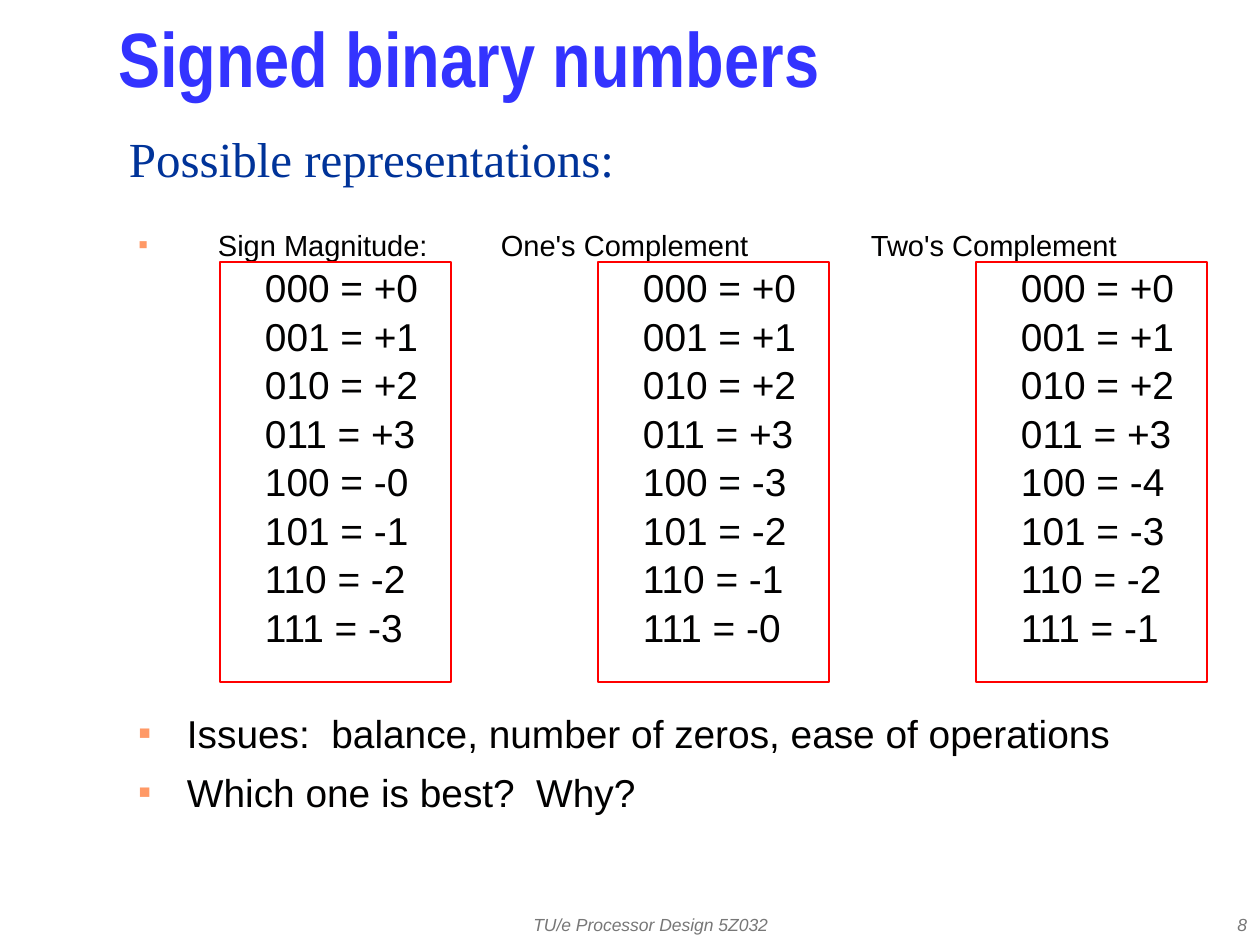
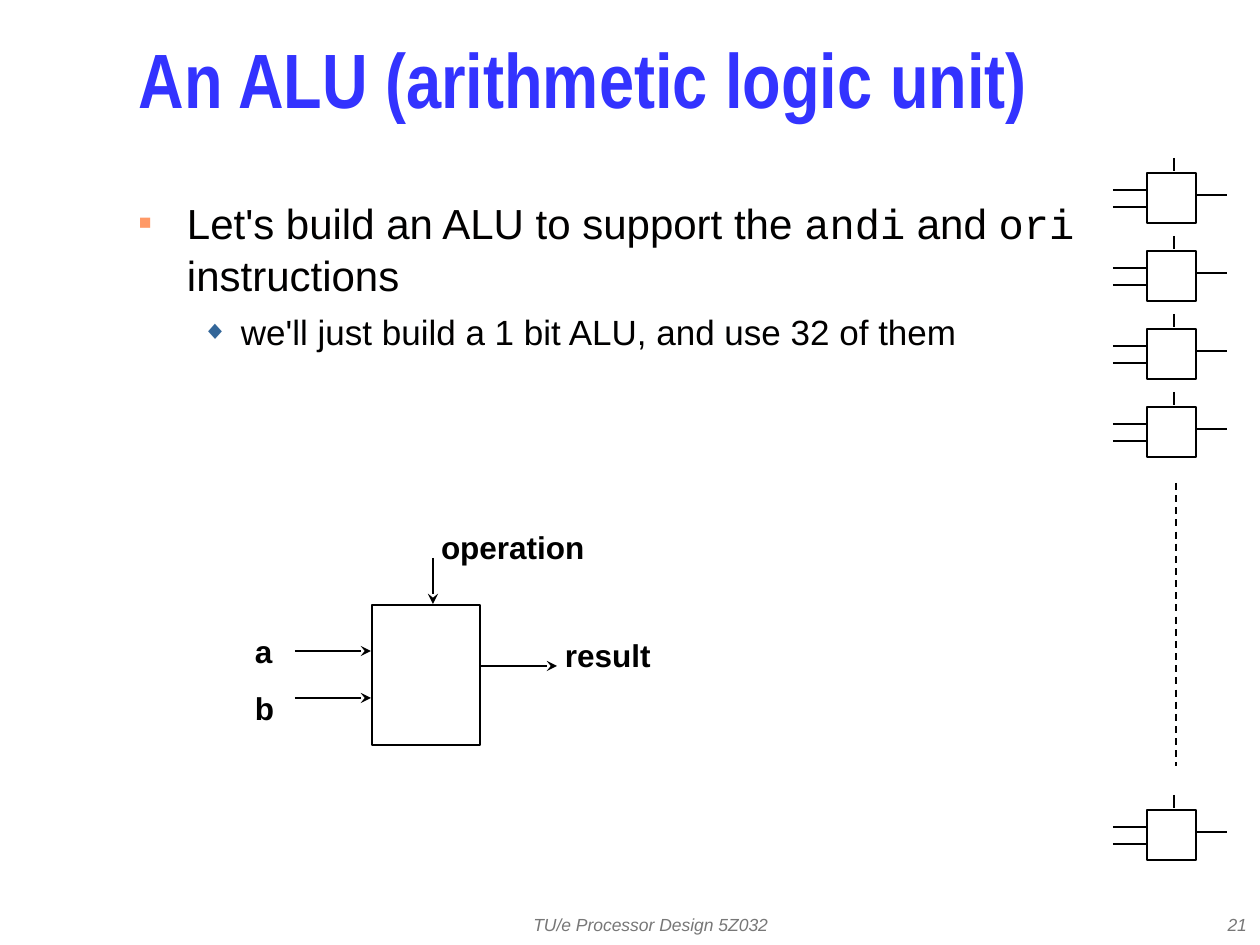
"""Build two slides on signed binary numbers and a one-bit ALU."""
import pptx
import pptx.dml.color
import pptx.enum.dml
import pptx.enum.shapes
import pptx.enum.text
import pptx.oxml.ns
import pptx.util
from lxml import etree

PX = 914400 / 126
BLACK, INK, WHITE, RED = "000000", "010000", "FFFFFF", "FF0000"
TITLE_BLUE, NAVY, GREY = "3333FF", "003399", "777777"
FOOTER = "TU/e Processor Design 5Z032"
ALIGN = pptx.enum.text.PP_ALIGN
ANCHOR = pptx.enum.text.MSO_ANCHOR
INSETS = (13, 6)
LABEL_INSETS = (3, 4)
BODY_SPACING = 1.04

SQUARE = {"char": "■", "color": "FF9966", "percent": 50, "margin": 48, "hang": 48}
DIAMOND = {"char": "◆", "color": "336699", "percent": 75, "margin": 102, "hang": 39}

HEADINGS = ["Sign Magnitude:", "One's Complement", "Two's Complement"]
HEADING_LEFTS = [218, 501, 871]
CODES = ["000", "001", "010", "011", "100", "101", "110", "111"]
VALUES = [
    ["+0", "+1", "+2", "+3", "-0", "-1", "-2", "-3"],
    ["+0", "+1", "+2", "+3", "-3", "-2", "-1", "-0"],
    ["+0", "+1", "+2", "+3", "-4", "-3", "-2", "-1"],
]
COLUMN_TABS = [126, 504, 882]
QUESTIONS = [
    ("Issues:  balance, number of zeros, ease of operations", 33),
    ("Which one is best?  Why?", 6),
]

ALU_GOAL = [
    ("Let's build an ALU to support the ", "Arial"),
    ("andi", "Courier New"),
    (" and ", "Arial"),
    ("ori", "Courier New"),
    (" instructions", "Arial"),
]
ALU_PLAN = "we'll just build a 1 bit ALU, and use 32 of them"
ALU_LABELS = [
    ("a", (252, 619, 76, 84)),
    ("b", (252, 676, 76, 84)),
    ("operation", (438, 514, 284, 84)),
    ("result", (562, 623, 111, 84)),
]
ALU_ARROWS = [
    (295, 651, 371, 651),
    (295, 698, 371, 698),
    (433, 558, 433, 604),
    (481, 666, 557, 666),
]
CELL_TOPS = [*range(173, 408, 78), 810]
CELL_WIRES = [
    (1113, 17, 1146, 17),
    (1113, 34, 1146, 34),
    (1174, -15, 1174, -2),
    (1196, 22, 1227, 22),
]


def px(length):
    return pptx.util.Emu(round(length * PX))


def rgb(code):
    return pptx.dml.color.RGBColor.from_string(code)


def child(parent, tag, **attributes):
    element = etree.SubElement(parent, pptx.oxml.ns.qn(tag))
    for name, value in attributes.items():
        element.set(name, str(value))
    return element


def style(span, size, color, font="Arial", bold=False, italic=False):
    span.font.size = pptx.util.Pt(size)
    span.font.name = font
    span.font.bold = bold
    span.font.italic = italic
    span.font.color.rgb = rgb(color)


def set_bullet(para, bullet):
    properties = para._p.get_or_add_pPr()
    properties.set("marL", str(px(bullet["margin"])))
    properties.set("indent", str(-px(bullet["hang"])))
    child(child(properties, "a:buClr"), "a:srgbClr", val=bullet["color"])
    child(properties, "a:buSzPct", val=bullet["percent"] * 1000)
    child(properties, "a:buFont", typeface="Arial")
    child(properties, "a:buChar", char=bullet["char"])


def set_tabs(para, stops):
    tabs = child(para._p.get_or_add_pPr(), "a:tabLst")
    for stop in stops:
        child(tabs, "a:tab", pos=px(stop), algn="l")


def set_frame(box, anchor, insets, wrap=True):
    frame = box.text_frame
    frame.auto_size = pptx.enum.text.MSO_AUTO_SIZE.NONE
    frame.word_wrap = wrap
    frame.vertical_anchor = anchor
    frame.margin_left = frame.margin_right = px(insets[0])
    frame.margin_top = frame.margin_bottom = px(insets[1])
    return frame


def add_frame(page, area, anchor=ANCHOR.TOP, insets=INSETS, wrap=True):
    box = page.shapes.add_textbox(*map(px, area))
    return set_frame(box, anchor, insets, wrap)


def add_line_of_text(page, area, text, size, color, align=ALIGN.LEFT, spacing=1.0,
                     anchor=ANCHOR.MIDDLE, insets=INSETS, wrap=False, **look):
    para = add_frame(page, area, anchor, insets, wrap).paragraphs[0]
    para.text = text
    para.alignment = align
    para.line_spacing = spacing
    style(para.runs[0], size, color, **look)


def add_body_para(frame, spans, size, bullet=None, tabs=None, before=0):
    para = frame.paragraphs[0]
    if para.runs:
        para = frame.add_paragraph()
    if bullet:
        set_bullet(para, bullet)
    if tabs:
        set_tabs(para, tabs)
    para.line_spacing = BODY_SPACING
    para.space_before = pptx.util.Pt(before)
    for text, font in spans:
        span = para.add_run()
        span.text = text
        style(span, size, INK, font)


def add_rectangle(page, area, color, weight, fill=None):
    box = page.shapes.add_shape(pptx.enum.shapes.MSO_SHAPE.RECTANGLE, *map(px, area))
    box.shadow.inherit = False
    box.line.color.rgb = rgb(color)
    box.line.width = pptx.util.Pt(weight)
    if fill:
        box.fill.solid()
        box.fill.fore_color.rgb = rgb(fill)
    else:
        box.fill.background()


def add_wire(page, ends, color=BLACK, dashed=False, arrow=False):
    wire = page.shapes.add_connector(pptx.enum.shapes.MSO_CONNECTOR.STRAIGHT, *map(px, ends))
    wire.line.color.rgb = rgb(color)
    wire.line.width = pptx.util.Pt(1)
    if dashed:
        wire.line.dash_style = pptx.enum.dml.MSO_LINE.DASH
    if arrow:
        child(wire.line._get_or_add_ln(), "a:tailEnd", type="stealth")
    child(wire._element.spPr, "a:effectLst")


def add_page(deck, title, title_area, number):
    page = deck.slides.add_slide(deck.slide_layouts[5])
    box = page.shapes.title
    box.left, box.top, box.width, box.height = map(px, title_area)
    frame = set_frame(box, ANCHOR.MIDDLE, INSETS)
    frame.text = title
    para = frame.paragraphs[0]
    para.alignment = ALIGN.LEFT
    para.line_spacing = 0.7
    style(para.runs[0], 44, TITLE_BLUE, "Arial Narrow", bold=True)
    add_line_of_text(page, (451, 903, 399, 42), FOOTER, 10, GREY, ALIGN.CENTER,
                     wrap=True, italic=True)
    add_line_of_text(page, (998, 903, 262, 42), number, 10, GREY, ALIGN.RIGHT,
                     wrap=True, italic=True)
    return page


def build_signed_numbers(deck):
    page = add_page(deck, "Signed binary numbers", (105, 21, 1103, 95), "8")
    add_line_of_text(page, (116, 122, 510, 72), "Possible representations:", 28, NAVY,
                     font="Times New Roman")
    left, top = 126, 220
    body = add_frame(page, (left, top, 1081, 651))
    inset = HEADING_LEFTS[0] - left - INSETS[0]
    heading_bullet = {**SQUARE, "margin": inset, "hang": inset}
    add_body_para(body, [(HEADINGS[0], "Arial")], 16.6, heading_bullet)
    for heading, heading_left in zip(HEADINGS[1:], HEADING_LEFTS[1:]):
        label = add_frame(page, (heading_left - INSETS[0], top, 300, 46))
        add_body_para(label, [(heading, "Arial")], 16.6)
    for code, *values in zip(CODES, *VALUES):
        row = "".join(f"\t{code} = {value}" for value in values)
        add_body_para(body, [(row, "Arial")], 22.2, tabs=COLUMN_TABS)
    for question, before in QUESTIONS:
        add_body_para(body, [(question, "Arial")], 22.2, SQUARE, before=before)
    for stop in COLUMN_TABS:
        add_rectangle(page, (stop + 94, 262, 231, 420), RED, 1.5)


def build_alu(deck):
    page = add_page(deck, "An ALU (arithmetic logic unit)", (126, 21, 1081, 136), "21")
    body = add_frame(page, (126, 189, 1081, 651))
    add_body_para(body, ALU_GOAL, 24, SQUARE)
    add_body_para(body, [(ALU_PLAN, "Arial")], 20, DIAMOND, before=5)
    add_rectangle(page, (372, 605, 108, 140), BLACK, 1, WHITE)
    for text, area in ALU_LABELS:
        add_line_of_text(page, area, text, 18, BLACK, spacing=pptx.util.Pt(27),
                         anchor=ANCHOR.TOP, insets=LABEL_INSETS, wrap=True, bold=True)
    for ends in ALU_ARROWS:
        add_wire(page, ends, arrow=True)
    for top in CELL_TOPS:
        add_rectangle(page, (1147, top, 49, 50), BLACK, 1, WHITE)
        for start_x, start_y, end_x, end_y in CELL_WIRES:
            add_wire(page, (start_x, top + start_y, end_x, top + end_y))
    add_wire(page, (1176, 483, 1176, 766), INK, dashed=True)


def main():
    deck = pptx.Presentation()
    deck.slide_width, deck.slide_height = px(1260), px(945)
    build_signed_numbers(deck)
    build_alu(deck)
    deck.save("out.pptx")


if __name__ == "__main__":
    main()
